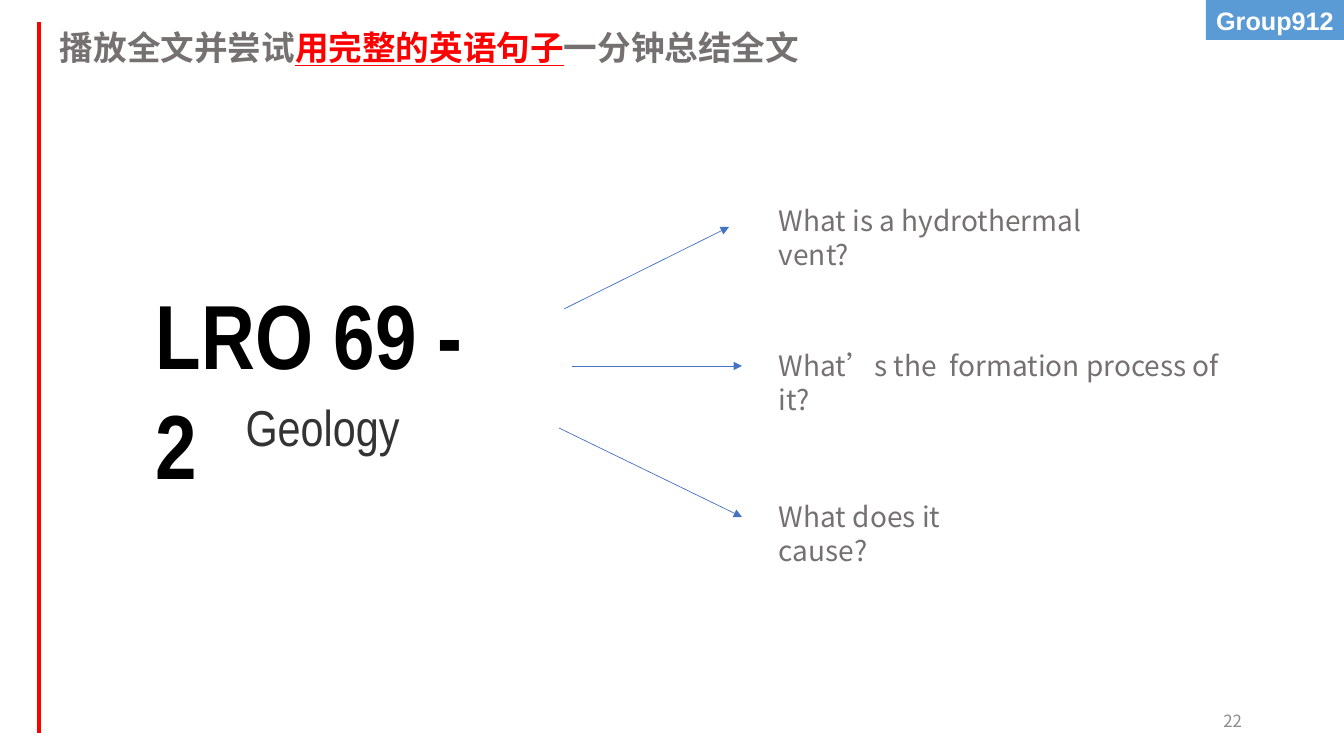
import pptx
import pptx.dml.color
import pptx.enum.shapes
import pptx.enum.text
import pptx.oxml
import pptx.oxml.ns
import pptx.util

PX_PER_INCH = 100.8
COLORS = {
    "red": "FF0000",
    "gray": "767171",
    "arrow": "4472C4",
    "badge": "5B9BD5",
    "black": "000000",
    "white": "FFFFFF",
    "subject": "333333",
    "number": "8C8C8C",
}
CJK = "Noto Sans CJK SC"
ALIGN = pptx.enum.text.PP_ALIGN
ANCHOR = pptx.enum.text.MSO_ANCHOR


def px(value):
    return pptx.util.Inches(value / PX_PER_INCH)


def rgb(name):
    return pptx.dml.color.RGBColor.from_string(COLORS[name])


def style_paragraph(paragraph, size, font, color, bold=False, align=ALIGN.LEFT):
    paragraph.alignment = align
    paragraph.font.size = pptx.util.Pt(size)
    paragraph.font.bold = bold
    paragraph.font.color.rgb = rgb(color)
    paragraph.font.name = font
    properties = paragraph._p.get_or_add_pPr().find(pptx.oxml.ns.qn("a:defRPr"))
    east_asian = pptx.oxml.parse_xml(
        f'<a:ea {pptx.oxml.ns.nsdecls("a")} typeface="{font}"/>'
    )
    properties.append(east_asian)


def add_text(slide, box, text, size, font, color, bold=False,
             align=ALIGN.LEFT, anchor=ANCHOR.TOP):
    shape = slide.shapes.add_textbox(*map(px, box))
    frame = shape.text_frame
    frame.word_wrap = True
    frame.vertical_anchor = anchor
    paragraph = frame.paragraphs[0]
    paragraph.text = text
    style_paragraph(paragraph, size, font, color, bold, align)
    return paragraph


def add_heading(slide, box, parts):
    paragraph = add_text(slide, box, "", 24, CJK, "gray", bold=True)
    for text, emphasized in parts:
        run = paragraph.add_run()
        run.text = text
        if emphasized:
            run.font.color.rgb = rgb("red")
            run.font.underline = True


def add_line(slide, start, end, color, width, arrow=False):
    connector = slide.shapes.add_connector(
        pptx.enum.shapes.MSO_CONNECTOR.STRAIGHT, *map(px, start + end)
    )
    connector.line.color.rgb = rgb(color)
    connector.line.width = pptx.util.Pt(width)
    namespace = pptx.oxml.ns.nsdecls("a")
    if arrow:
        connector.line._get_or_add_ln().append(
            pptx.oxml.parse_xml(f'<a:tailEnd {namespace} type="triangle"/>')
        )
    connector._element.spPr.append(pptx.oxml.parse_xml(f"<a:effectLst {namespace}/>"))


def add_badge(slide, box, text):
    shape = slide.shapes.add_shape(
        pptx.enum.shapes.MSO_SHAPE.RECTANGLE, *map(px, box)
    )
    shape.shadow.inherit = False
    shape.fill.solid()
    shape.fill.fore_color.rgb = rgb("badge")
    shape.line.fill.background()
    frame = shape.text_frame
    frame.word_wrap = False
    frame.vertical_anchor = ANCHOR.MIDDLE
    paragraph = frame.paragraphs[0]
    paragraph.text = text
    style_paragraph(paragraph, 18, "Arial", "white", bold=True, align=ALIGN.CENTER)


def main():
    presentation = pptx.Presentation()
    presentation.slide_width = px(1344)
    presentation.slide_height = px(756)
    slide = presentation.slides.add_slide(presentation.slide_layouts[6])

    add_line(slide, (39, 22), (39, 733), "red", 2.25)
    add_text(slide, (146, 274, 352, 120), "LRO 69 - 2", 65, "Arial Narrow",
             "black", bold=True)
    add_heading(slide, (50, 22, 832, 50), [
        ("播放全文并尝试", False),
        ("用完整的英语句子", True),
        ("一分钟总结全文", False),
    ])

    questions = [
        ("What is a hydrothermal vent?", 199, 376, (564, 309), (729, 227)),
        ("What’s the  formation process of it?", 344, 474, (572, 366), (742, 366)),
        ("What does it cause?", 495, 263, (559, 428), (742, 517)),
    ]
    for question, top, width, start, end in questions:
        add_line(slide, start, end, "arrow", 0.5, arrow=True)
        add_text(slide, (769, top, width, 44), question, 20, CJK, "gray")

    add_badge(slide, (1206, 0, 138, 40), "Group912")
    add_text(slide, (950, 701, 302, 40), "22", 12, CJK, "number",
             align=ALIGN.RIGHT, anchor=ANCHOR.MIDDLE)
    subject = add_text(slide, (106, 398, 433, 59), "Geology", 36, "Arial Narrow",
                       "subject", align=ALIGN.CENTER)
    subject.line_spacing = 0.9

    presentation.save("out.pptx")


if __name__ == "__main__":
    main()
